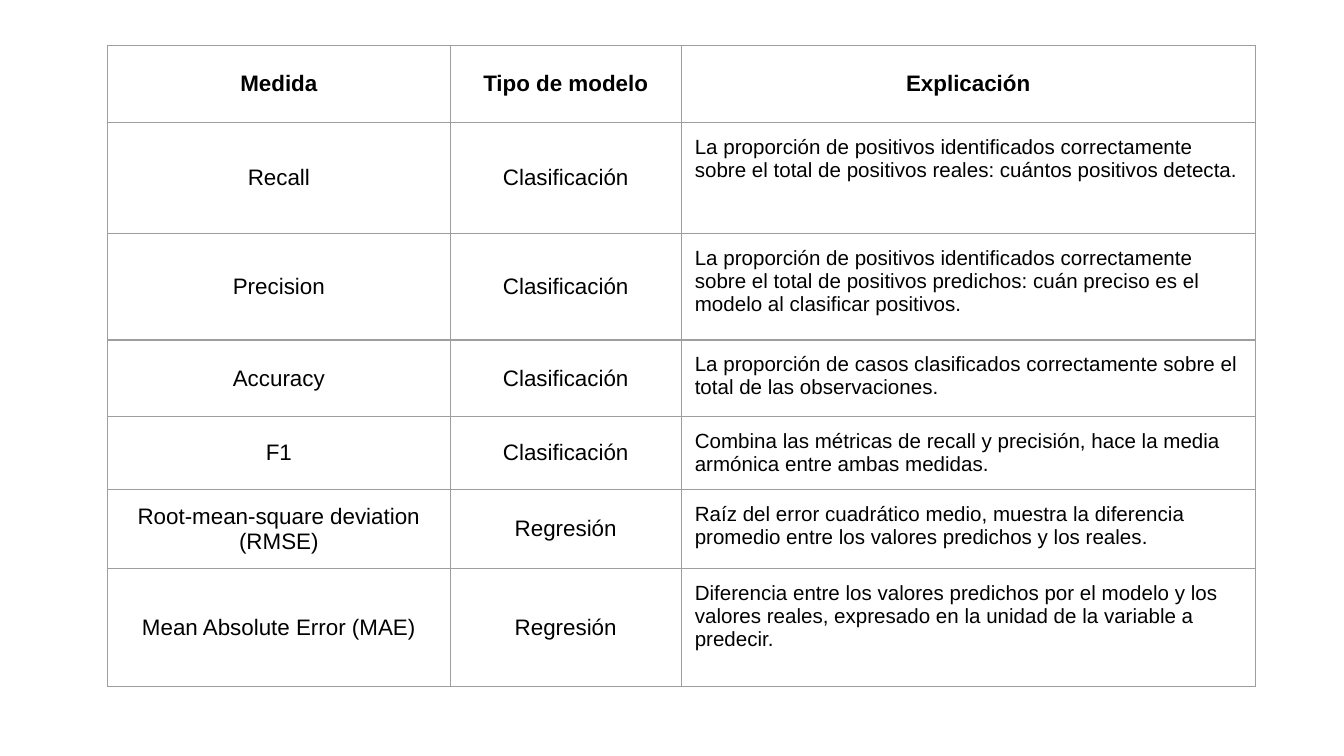
from typing import NamedTuple

from lxml import etree
from pptx import Presentation
from pptx.dml.color import RGBColor
from pptx.enum import text
from pptx.oxml import ns
from pptx.util import Inches, Pt

BLACK = RGBColor(0x00, 0x00, 0x00)
GRAY = RGBColor(0x9E, 0x9E, 0x9E)
FONT = "Arial"
COLUMN_WIDTHS = (2.55, 1.72, 4.27)
HEADERS = ("Medida", "Tipo de modelo", "Explicación")
HEADER_HEIGHT = 0.57


class Measure(NamedTuple):
    name: str
    model: str
    explanation: str
    height: float


MEASURES = (
    Measure("Recall", "Clasificación",
            "La proporción de positivos identificados correctamente sobre el total "
            "de positivos reales: cuántos positivos detecta.", 0.83),
    Measure("Precision", "Clasificación",
            "La proporción de positivos identificados correctamente sobre el total "
            "de positivos predichos: cuán preciso es el modelo al clasificar positivos.", 0.79),
    Measure("Accuracy", "Clasificación",
            "La proporción de casos clasificados correctamente sobre el total de las "
            "observaciones.", 0.57),
    Measure("F1", "Clasificación",
            "Combina las métricas de recall y precisión, hace la media armónica entre "
            "ambas medidas.", 0.54),
    Measure("Root-mean-square deviation (RMSE)", "Regresión",
            "Raíz del error cuadrático medio, muestra la diferencia promedio entre los "
            "valores predichos y los reales.", 0.59),
    Measure("Mean Absolute Error (MAE)", "Regresión",
            "Diferencia entre los valores predichos por el modelo y los valores reales, "
            "expresado en la unidad de la variable a predecir.", 0.88),
)


def draw_borders(cell, color: RGBColor, width: float) -> None:
    properties = cell._tc.get_or_add_tcPr()
    for side in ("lnL", "lnR", "lnT", "lnB"):
        line = etree.SubElement(properties, ns.qn(f"a:{side}"), w=str(Pt(width)))
        fill = etree.SubElement(line, ns.qn("a:solidFill"))
        etree.SubElement(fill, ns.qn("a:srgbClr"), val=str(color))


def write_cell(cell, content: str, *, size: float = 12, bold: bool = False,
               align=text.PP_ALIGN.CENTER, anchor=text.MSO_ANCHOR.MIDDLE) -> None:
    draw_borders(cell, GRAY, 0.75)
    cell.fill.background()
    cell.margin_left = cell.margin_right = Inches(0.1)
    cell.margin_top = cell.margin_bottom = Inches(0.1)
    cell.vertical_anchor = anchor
    para = cell.text_frame.paragraphs[0]
    para.alignment = align
    span = para.add_run()
    span.text = content
    span.font.name = FONT
    span.font.size = Pt(size)
    span.font.bold = bold
    span.font.color.rgb = BLACK


def draw_measures(page, left: float, top: float) -> None:
    heights = (HEADER_HEIGHT, *(measure.height for measure in MEASURES))
    frame = page.shapes.add_table(
        len(heights), len(COLUMN_WIDTHS), Inches(left), Inches(top),
        Inches(sum(COLUMN_WIDTHS)), Inches(sum(heights)))
    table = frame.table
    table.first_row = False
    table.horz_banding = False
    for column, width in zip(table.columns, COLUMN_WIDTHS):
        column.width = Inches(width)
    for row, height in zip(table.rows, heights):
        row.height = Inches(height)
    for index, header in enumerate(HEADERS):
        write_cell(table.cell(0, index), header, bold=True)
    for index, measure in enumerate(MEASURES, start=1):
        write_cell(table.cell(index, 0), measure.name)
        write_cell(table.cell(index, 1), measure.model)
        write_cell(table.cell(index, 2), measure.explanation, size=11,
                   align=text.PP_ALIGN.LEFT, anchor=text.MSO_ANCHOR.TOP)


def main() -> None:
    deck = Presentation()
    deck.slide_width = Inches(10)
    deck.slide_height = deck.slide_width * 9 // 16
    page = deck.slides.add_slide(deck.slide_layouts.get_by_name("Blank"))
    draw_measures(page, 0.8, 0.34)
    deck.save("out.pptx")


if __name__ == "__main__":
    main()
